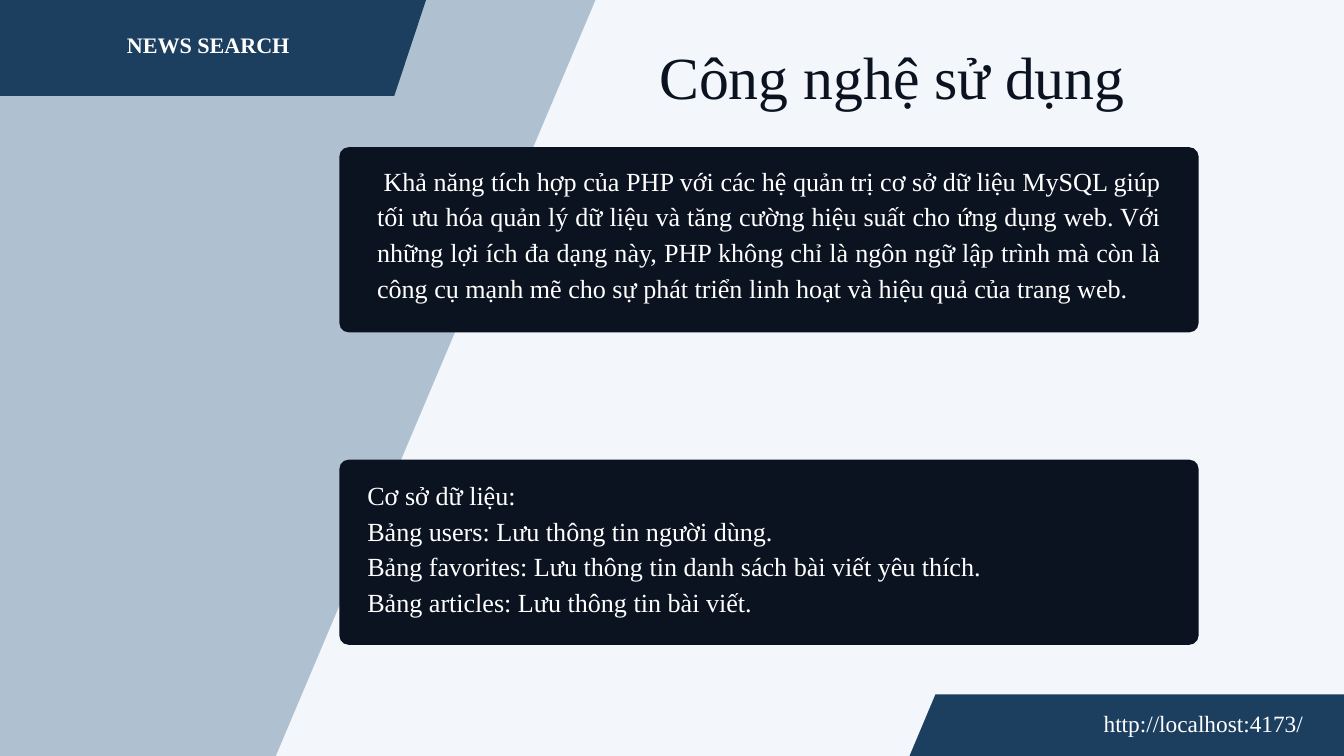
import pptx
import pptx.dml.color
import pptx.enum.shapes
import pptx.enum.text
import pptx.oxml
import pptx.util

Pt = pptx.util.Pt
ALIGN = pptx.enum.text.PP_ALIGN
COLORS = {
    "background": "F3F6FA",
    "band": "AFC1D0",
    "tab": "1C3F60",
    "dark": "0B1320",
    "white": "FFFFFF",
}
FONT = "Times New Roman"
WIDTH, HEIGHT = 1440, 810


def rgb(name):
    return pptx.dml.color.RGBColor.from_string(COLORS[name])


def write(frame, text, size, leading, color="white", bold=False,
          align=ALIGN.LEFT, indent=0):
    """Fill a text frame, one paragraph for each line of text."""
    frame.margin_left = frame.margin_right = 0
    frame.margin_top = frame.margin_bottom = 0
    frame.word_wrap = True
    frame.auto_size = pptx.enum.text.MSO_AUTO_SIZE.NONE
    frame.vertical_anchor = pptx.enum.text.MSO_ANCHOR.TOP
    frame.text = text
    for paragraph in frame.paragraphs:
        properties = paragraph._p.get_or_add_pPr()
        properties.set("marL", "0")
        properties.set("indent", str(Pt(indent)))
        properties.append(pptx.oxml.parse_xml(
            '<a:buNone xmlns:a="http://schemas.openxmlformats.org/drawingml/2006/main"/>'))
        paragraph.alignment = align
        paragraph.line_spacing = Pt(leading)
        paragraph.space_before = paragraph.space_after = Pt(0)
        font = paragraph.font
        font.name, font.size, font.bold = FONT, Pt(size), bold
        font.color.rgb = rgb(color)


class SlideBuilder:
    def __init__(self, slide):
        self.slide = slide
        self.slide.background.fill.solid()
        self.slide.background.fill.fore_color.rgb = rgb("background")

    def paint(self, shape, color):
        shape.shadow.inherit = False
        shape.fill.solid()
        shape.fill.fore_color.rgb = rgb(color)
        shape.line.fill.background()

    def polygon(self, points, color):
        corners = [(Pt(x), Pt(y)) for x, y in points]
        builder = self.slide.shapes.build_freeform(*corners[0])
        builder.add_line_segments(corners[1:], close=True)
        self.paint(builder.convert_to_shape(), color)

    def panel(self, left, top, width, height, radius=10):
        shape = self.slide.shapes.add_shape(
            pptx.enum.shapes.MSO_SHAPE.ROUNDED_RECTANGLE,
            Pt(left), Pt(top), Pt(width), Pt(height))
        shape.adjustments[0] = radius / height
        self.paint(shape, "dark")

    def text(self, box, text, **style):
        shape = self.slide.shapes.add_textbox(*map(Pt, box))
        write(shape.text_frame, text, **style)

    def placeholder(self, index, box, text, **style):
        shape = self.slide.placeholders[index]
        shape.left, shape.top, shape.width, shape.height = map(Pt, box)
        write(shape.text_frame, text, **style)
        # Bring in front of the panels
        shape.element.getparent().append(shape.element)


def main():
    deck = pptx.Presentation()
    deck.slide_width, deck.slide_height = Pt(WIDTH), Pt(HEIGHT)
    page = SlideBuilder(deck.slides.add_slide(deck.slide_layouts[1]))

    # Slanted background band, header tab and footer tab
    page.polygon([(0, 0), (638, 0), (295.5, HEIGHT), (0, HEIGHT)], "band")
    page.polygon([(0, 0), (456.5, 0), (422.5, 102.7), (0, 102.7)], "tab")
    page.polygon([(1002.3, 744), (WIDTH, 744), (WIDTH, HEIGHT), (974.5, HEIGHT)], "tab")

    # Dark panels
    for panel_top in (157.7, 492.5):
        page.panel(363.6, panel_top, 920.6, 198.4)

    # Header, title and footer
    page.text((136, 29, 271.5, 36.5), "NEWS SEARCH", size=23.7, leading=33.2, bold=True)
    page.placeholder(0, (706.3, 36, 638.6, 91.5), "Công nghệ sử dụng",
                     size=64, leading=83.2, color="dark")
    page.text((1036, 754.6, 360, 32.4), "http://localhost:4173/",
              size=25, leading=35, align=ALIGN.RIGHT)

    # Panel contents
    body = dict(size=28, leading=38.4, align=ALIGN.JUSTIFY)
    page.text(
        (404, 172, 839.5, 193),
        "Khả năng tích hợp của PHP với các hệ quản trị cơ sở dữ liệu MySQL giúp "
        "tối ưu hóa quản lý dữ liệu và tăng cường hiệu suất cho ứng dụng web. Với "
        "những lợi ích đa dạng này, PHP không chỉ là ngôn ngữ lập trình mà còn là "
        "công cụ mạnh mẽ cho sự phát triển linh hoạt và hiệu quả của trang web.",
        indent=7, **body)
    page.placeholder(
        1, (393.6, 508.5, 839.5, 154.8),
        "Cơ sở dữ liệu:\n"
        "Bảng users: Lưu thông tin người dùng.\n"
        "Bảng favorites: Lưu thông tin danh sách bài viết yêu thích.\n"
        "Bảng articles: Lưu thông tin bài viết.",
        **body)

    deck.save("out.pptx")


if __name__ == "__main__":
    main()
